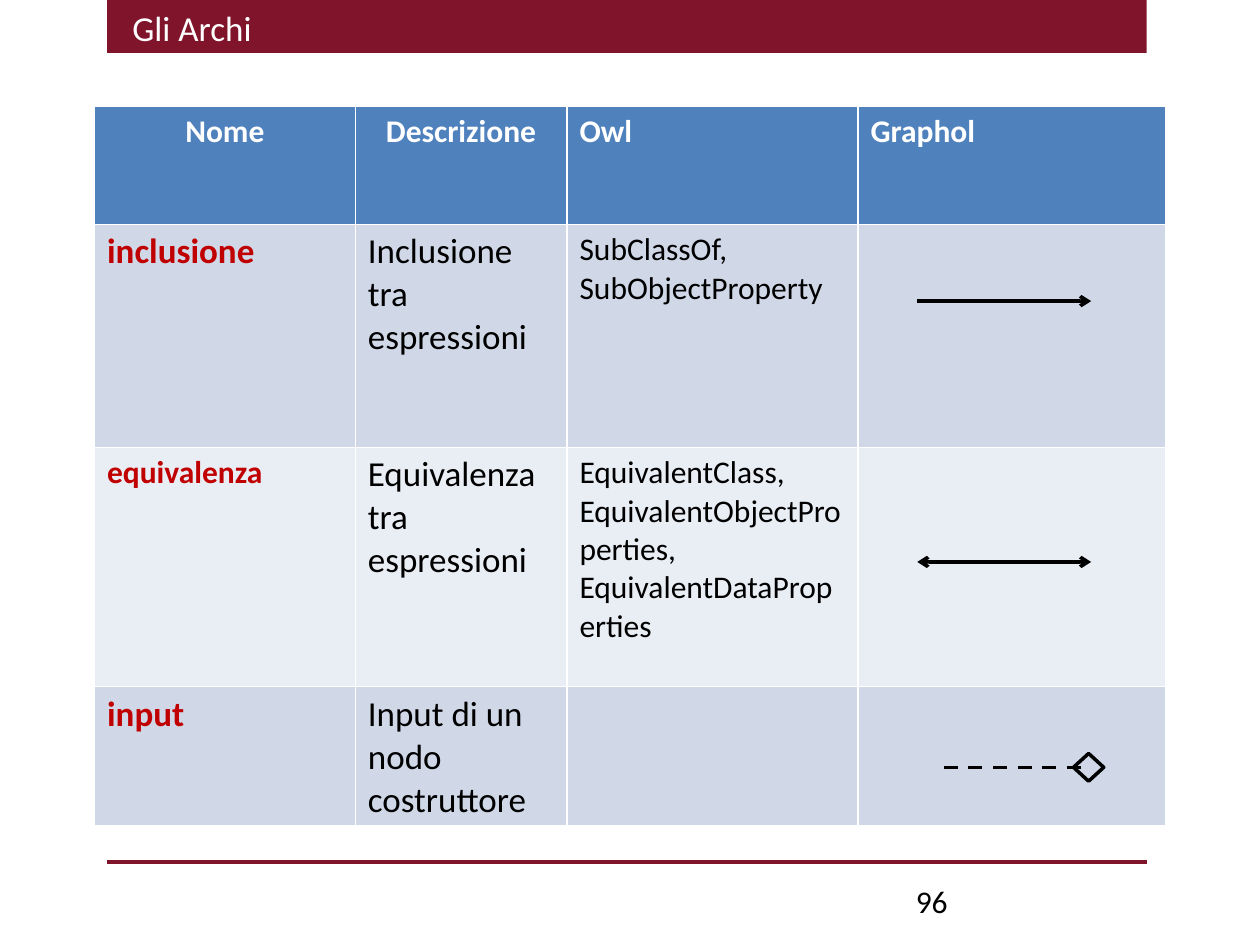
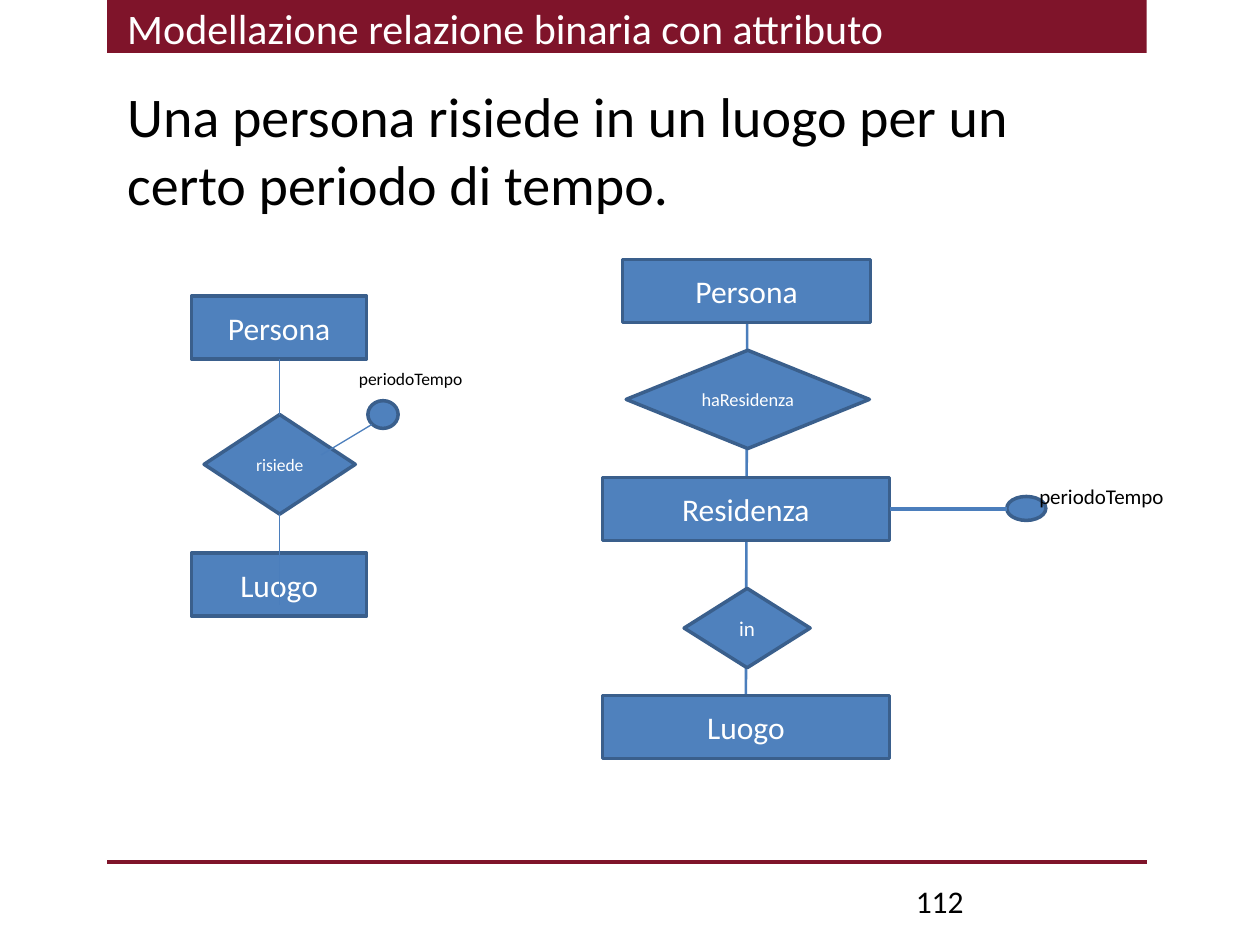
from lxml.etree import SubElement
from pptx import Presentation
from pptx.dml.color import RGBColor
from pptx.enum.dml import MSO_LINE
from pptx.enum.shapes import MSO_CONNECTOR, MSO_SHAPE as SHAPE
from pptx.enum.text import MSO_ANCHOR as ANCHOR, MSO_AUTO_SIZE, PP_ALIGN as ALIGN
from pptx.oxml.ns import qn
from pptx.util import Inches, Pt

COLORS = {name: RGBColor.from_string(value) for name, value in {
    "band": "7F142A",
    "node": "4F81BD",
    "node_edge": "3A5F8C",
    "link": "4B7EBC",
    "row_odd": "D0D8E8",
    "row_even": "E9EDF4",
    "term": "C00000",
    "black": "000000",
    "white": "FFFFFF",
}.items()}


def write_text(frame, text, size, color="black", bold=False, align=ALIGN.LEFT):
    frame.text = text
    font_format = {"name": "Calibri", "size": Pt(size), "bold": bold}
    for paragraph in frame.paragraphs:
        paragraph.alignment = align
        for attribute, value in font_format.items():
            setattr(paragraph.font, attribute, value)
        paragraph.font.color.rgb = COLORS[color]


def add_link(slide, start, end, color, width, ends=(), dash=None):
    """Draw a line between two points; ends lists which of headEnd and tailEnd are arrows."""
    link = slide.shapes.add_connector(
        MSO_CONNECTOR.STRAIGHT, *map(Inches, (*start, *end)))
    link.line.color.rgb = COLORS[color]
    link.line.width = Pt(width)
    if dash:
        link.line.dash_style = dash
    properties = link.element.spPr
    for end_tag in ends:
        SubElement(properties.find(qn("a:ln")), qn(f"a:{end_tag}"), type="arrow")
    SubElement(properties, qn("a:effectLst"))
    return link


prs = Presentation()
prs.slide_width, prs.slide_height = Inches(10), Inches(7.5)
arcs = prs.slides.add_slide(prs.slide_layouts[5])
modelling = prs.slides.add_slide(prs.slide_layouts[1])

# Band and footer rule, moved to the master so that both slides inherit them
band = arcs.shapes.add_shape(SHAPE.RECTANGLE, *map(Inches, (0.85, 0, 8.25, 0.42)))
band.fill.solid()
band.fill.fore_color.rgb = COLORS["band"]
band.line.fill.background()
band.shadow.inherit = False
footer_rule = add_link(arcs, (0.85, 6.84), (9.1, 6.84), "band", 2)
for position, part in enumerate((band, footer_rule), start=2):
    prs.slide_master.shapes.element.insert(position, part.element)

# Titles and page numbers
for slide, heading, box, size, page in [
    (arcs, "Gli Archi", (0.95, 0, 8.1, 0.44), 20, "96"),
    (modelling, "Modellazione relazione binaria con attributo",
     (0.91, -0.03, 8.61, 0.61), 24, "112"),
]:
    title = slide.shapes.title
    title.left, title.top, title.width, title.height = map(Inches, box)
    write_text(title.text_frame, heading, size, "white")
    title.text_frame.vertical_anchor = ANCHOR.TOP
    title.text_frame.auto_size = MSO_AUTO_SIZE.NONE

    page_number = slide.shapes.add_textbox(*map(Inches, (7.17, 6.95, 2.33, 0.4)))
    page_number.text_frame.word_wrap = True
    write_text(page_number.text_frame, page, 18)

# Slide 1: table of the arcs
headers = ["Nome", "Descrizione", "Owl", "Graphol"]
arc_rows = [
    ("inclusione", 20, "Inclusione tra espressioni",
     "SubClassOf,\nSubObjectProperty"),
    ("equivalenza", 18, "Equivalenza tra espressioni",
     "EquivalentClass, EquivalentObjectProperties,\nEquivalentDataProperties"),
    ("input", 20, "Input di un nodo costruttore", ""),
]
column_widths = [2.07, 1.68, 2.31, 2.44]
row_heights = [0.94, 1.77, 1.9, 1.1]
arc_table = arcs.shapes.add_table(
    len(row_heights), len(column_widths),
    *map(Inches, (0.75, 0.84, sum(column_widths), sum(row_heights)))).table
for column, width in zip(arc_table.columns, column_widths):
    column.width = Inches(width)
for row, height in zip(arc_table.rows, row_heights):
    row.height = Inches(height)

for index, header in enumerate(headers):
    align = ALIGN.CENTER if index < 2 else ALIGN.LEFT
    write_text(arc_table.cell(0, index).text_frame, header, 18, "white", True, align)
for index, (term, term_size, description, owl) in enumerate(arc_rows, start=1):
    write_text(arc_table.cell(index, 0).text_frame, term, term_size, "term", True)
    write_text(arc_table.cell(index, 1).text_frame, description, 20)
    write_text(arc_table.cell(index, 2).text_frame, owl, 18)
for row, fill in zip(arc_table.rows, ["node", "row_odd", "row_even", "row_odd"]):
    for cell in row.cells:
        cell.fill.solid()
        cell.fill.fore_color.rgb = COLORS[fill]

# Graphol symbols
add_link(arcs, (7.28, 2.39), (8.66, 2.39), "black", 2, ["tailEnd"])
add_link(arcs, (7.28, 4.46), (8.66, 4.46), "black", 2, ["headEnd", "tailEnd"])
input_end = arcs.shapes.add_shape(SHAPE.DIAMOND, *map(Inches, (8.52, 5.98, 0.24, 0.22)))
input_end.fill.background()
input_end.line.color.rgb = COLORS["black"]
input_end.line.width = Pt(2)
input_end.shadow.inherit = False
add_link(arcs, (7.49, 6.09), (8.59, 6.09), "black", 2, dash=MSO_LINE.DASH)

# Slide 2: sentence to be modelled
sentence = modelling.placeholders[1]
sentence.left, sentence.top, sentence.width, sentence.height = map(
    Inches, (0.91, 0.6, 8.11, 6.1))
write_text(sentence.text_frame,
           "Una persona risiede in un luogo per un certo periodo di tempo.", 32)
sentence.text_frame.auto_size = MSO_AUTO_SIZE.NONE
sentence_paragraph = sentence.text_frame.paragraphs[0]
sentence_paragraph.space_before = Pt(0)
bullet_properties = sentence_paragraph._p.get_or_add_pPr()
bullet_properties.set("marL", "0")
bullet_properties.set("indent", "0")
SubElement(bullet_properties, qn("a:buNone"))
bullet_properties.append(bullet_properties.find(qn("a:defRPr")))

# The spine lies behind the nodes of the right diagram
add_link(modelling, (5.93, 2.56), (5.92, 5.52), "link", 1.5)

for form, box, name, size in [
    (SHAPE.RECTANGLE, (1.52, 2.35, 1.39, 0.5), "Persona", 18),
    (SHAPE.RECTANGLE, (1.52, 4.39, 1.39, 0.5), "Luogo", 18),
    (SHAPE.DIAMOND, (1.62, 3.29, 1.2, 0.79), "risiede", 10),
    (SHAPE.OVAL, (2.92, 3.18, 0.24, 0.22), "", 10),
    (SHAPE.RECTANGLE, (4.94, 2.06, 1.97, 0.5), "Persona", 18),
    (SHAPE.DIAMOND, (4.97, 2.78, 1.93, 0.78), "haResidenza", 10.5),
    (SHAPE.RECTANGLE, (4.78, 3.79, 2.28, 0.5), "Residenza", 18),
    (SHAPE.DIAMOND, (5.43, 4.67, 1, 0.63), "in", 12),
    (SHAPE.RECTANGLE, (4.78, 5.52, 2.28, 0.5), "Luogo", 18),
    (SHAPE.OVAL, (7.99, 3.94, 0.31, 0.19), "", 12),
]:
    node = modelling.shapes.add_shape(form, *map(Inches, box))
    node.fill.solid()
    node.fill.fore_color.rgb = COLORS["node"]
    node.line.color.rgb = COLORS["node_edge"]
    node.line.width = Pt(2)
    node.shadow.inherit = False
    if name:
        node.text_frame.margin_left = node.text_frame.margin_right = 0
        node.text_frame.vertical_anchor = ANCHOR.MIDDLE
        write_text(node.text_frame, name, size, "white", align=ALIGN.CENTER)

for start, end, width in [
    ((2.22, 2.85), (2.22, 3.29), 0.75),
    ((2.22, 4.08), (2.22, 4.8), 0.75),
    ((2.55, 3.61), (2.95, 3.37), 0.75),
    ((7.06, 4.04), (7.99, 4.04), 2),
]:
    add_link(modelling, start, end, "link", width)

for box, size in [((2.75, 2.87, 1.05, 0.27), 10), ((8.15, 3.79, 1.2, 0.3), 12)]:
    attribute_label = modelling.shapes.add_textbox(*map(Inches, box))
    attribute_label.text_frame.word_wrap = False
    write_text(attribute_label.text_frame, "periodoTempo", size)

prs.save("out.pptx")
